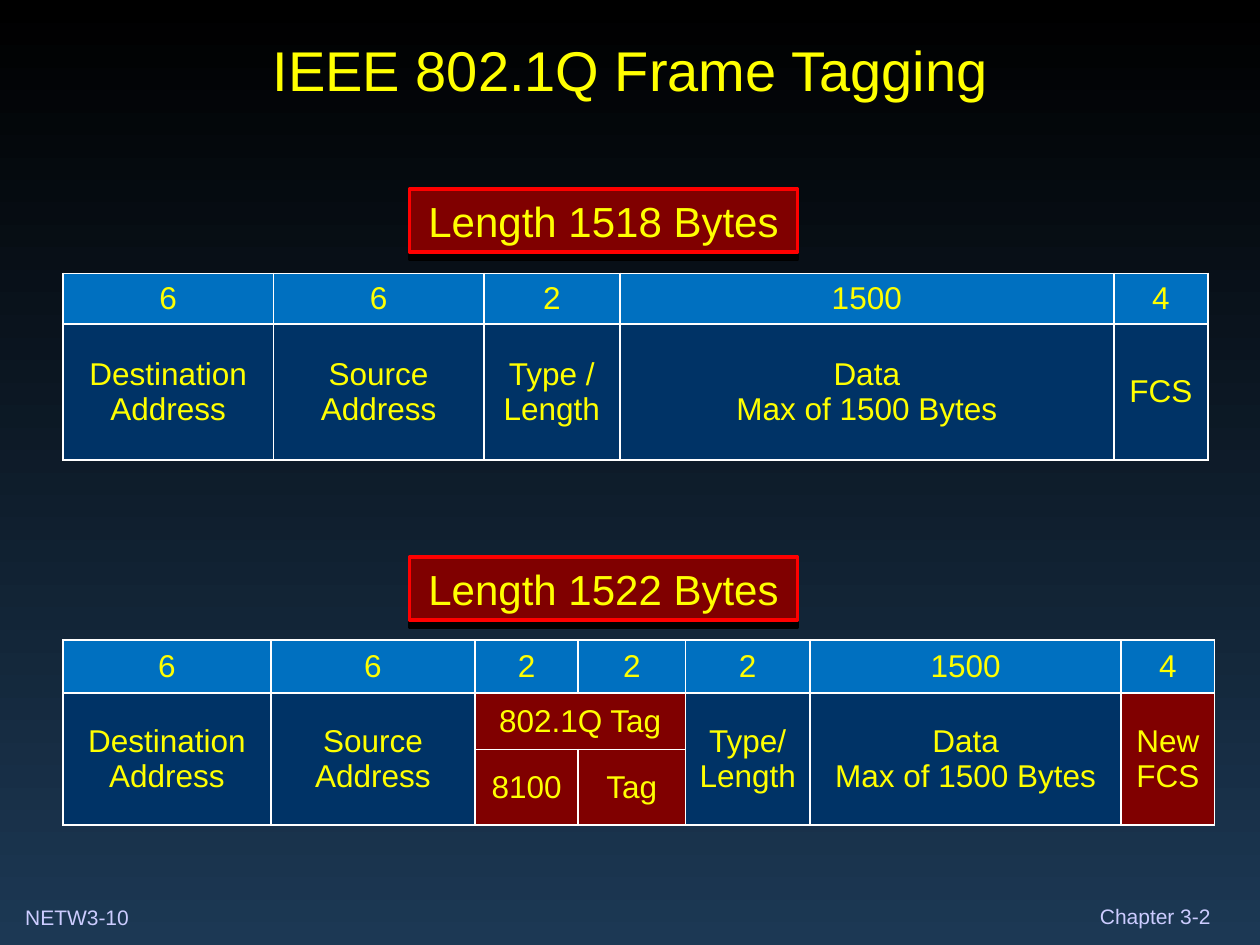
from pptx import Presentation
from pptx.dml.color import RGBColor
from pptx.enum.shapes import MSO_SHAPE as Shape
from pptx.enum.text import MSO_ANCHOR as Anchor, PP_ALIGN as Align
from pptx.oxml import parse_xml
from pptx.oxml.ns import nsdecls
from pptx.util import Inches, Pt

BLACK = RGBColor(0x00, 0x00, 0x00)
SLATE = RGBColor(0x1C, 0x38, 0x54)
YELLOW = RGBColor(0xFF, 0xFF, 0x00)
LILAC = RGBColor(0xCC, 0xCC, 0xFF)
BLUE = RGBColor(0x00, 0x70, 0xC0)
NAVY = RGBColor(0x00, 0x33, 0x66)
MAROON = RGBColor(0x80, 0x00, 0x00)
RED = RGBColor(0xFF, 0x00, 0x00)
WHITE = RGBColor(0xFF, 0xFF, 0xFF)


def write(frame, text, size=18, color=YELLOW, align=Align.CENTER,
          anchor=Anchor.MIDDLE):
    frame.word_wrap = True
    frame.vertical_anchor = anchor
    para = frame.paragraphs[0]
    para.text = text
    para.alignment = align
    for run in para.runs:
        run.font.name = "Arial"
        run.font.size = Pt(size)
        run.font.color.rgb = color


def style(cell, fill):
    props = cell._tc.get_or_add_tcPr()
    for side in ("lnL", "lnR", "lnT", "lnB"):
        props.append(parse_xml(
            f'<a:{side} {nsdecls("a")} w="{Pt(1.08)}"><a:solidFill>'
            f'<a:srgbClr val="{WHITE}"/></a:solidFill></a:{side}>'))
    cell.fill.solid()
    cell.fill.fore_color.rgb = fill


deck = Presentation()
deck.slide_width, deck.slide_height = Inches(10), Inches(7.5)
slide = deck.slides.add_slide(deck.slide_layouts[5])

# Background: black fading down to slate
back = slide.background.fill
back.gradient()
back.gradient_angle = 270
for stop, color, place in zip(back.gradient_stops, (BLACK, SLATE), (0, 1)):
    stop.color.rgb = color
    stop.position = place

# Title
title = slide.shapes.title
title.left, title.top = Inches(0.17), Inches(0.17)
title.width, title.height = Inches(9.67), Inches(0.75)
write(title.text_frame, "IEEE 802.1Q Frame Tagging", size=32)

# Footer labels
course = slide.shapes.add_textbox(Inches(0), Inches(7.13), Inches(1.17), Inches(0.3))
course.text_frame.margin_left = Inches(0.2)
write(course.text_frame, "NETW3-10", size=12, color=LILAC,
      align=Align.LEFT, anchor=Anchor.TOP)

page = slide.shapes.add_textbox(Inches(8.67), Inches(7.17), Inches(1), Inches(0.2))
frame = page.text_frame
frame.margin_left = frame.margin_right = frame.margin_top = frame.margin_bottom = 0
write(frame, "Chapter 3-2", size=12, color=LILAC, anchor=Anchor.BOTTOM)

# Frame layouts: top, column widths, row heights, texts, merges, maroon cells
DATA = "Data\nMax of 1500 Bytes"
plain = (2.17, (1.67, 1.67, 1.08, 3.92, 0.75), (0.4, 1.08),
         [["6", "6", "2", "1500", "4"],
          ["Destination Address", "Source Address", "Type /\nLength", DATA, "FCS"]],
         [], [])
tagged = (5.08, (1.65, 1.62, 0.82, 0.85, 0.99, 2.47, 0.74), (0.42, 0.45, 0.6),
          [["6", "6", "2", "2", "2", "1500", "4"],
           ["Destination Address", "Source Address", "802.1Q Tag", "",
            "Type/\nLength", DATA, "New\nFCS"],
           ["", "", "8100", "Tag", "", "", ""]],
          [(1, 2, 1, 3)] + [(1, col, 2, col) for col in (0, 1, 4, 5, 6)],
          [2, 3, 6])

for top, widths, heights, texts, merges, marked in (plain, tagged):
    grid = slide.shapes.add_table(len(heights), len(widths), Inches(0.5), Inches(top),
                                  Inches(sum(widths)), Inches(sum(heights))).table
    grid.first_row = grid.horz_banding = False
    for col, width in zip(grid.columns, widths):
        col.width = Inches(width)
    for row, height in zip(grid.rows, heights):
        row.height = Inches(height)
    for r, line in enumerate(texts):
        for c, text in enumerate(line):
            cell = grid.cell(r, c)
            style(cell, BLUE if r == 0 else MAROON if c in marked else NAVY)
            if text:
                write(cell.text_frame, text)
                cell.vertical_anchor = Anchor.MIDDLE
    for r1, c1, r2, c2 in merges:
        grid.cell(r1, c1).merge(grid.cell(r2, c2))

# Length labels with a hard shadow below
for top, count in ((1.5, 1518), (4.42, 1522)):
    label = slide.shapes.add_shape(Shape.RECTANGLE, Inches(3.25), Inches(top),
                                   Inches(3.08), Inches(0.5))
    label.fill.solid()
    label.fill.fore_color.rgb = MAROON
    label.line.color.rgb = RED
    label.line.width = Pt(2)
    label.shadow.inherit = False
    effects = label._element.spPr.find("{*}effectLst")
    effects.append(parse_xml(
        f'<a:outerShdw {nsdecls("a")} blurRad="0" dist="{Pt(4)}" dir="5400000" '
        f'rotWithShape="0"><a:srgbClr val="{BLACK}"/></a:outerShdw>'))
    write(label.text_frame, f"Length {count} Bytes", size=24, anchor=Anchor.TOP)

deck.save("out.pptx")
